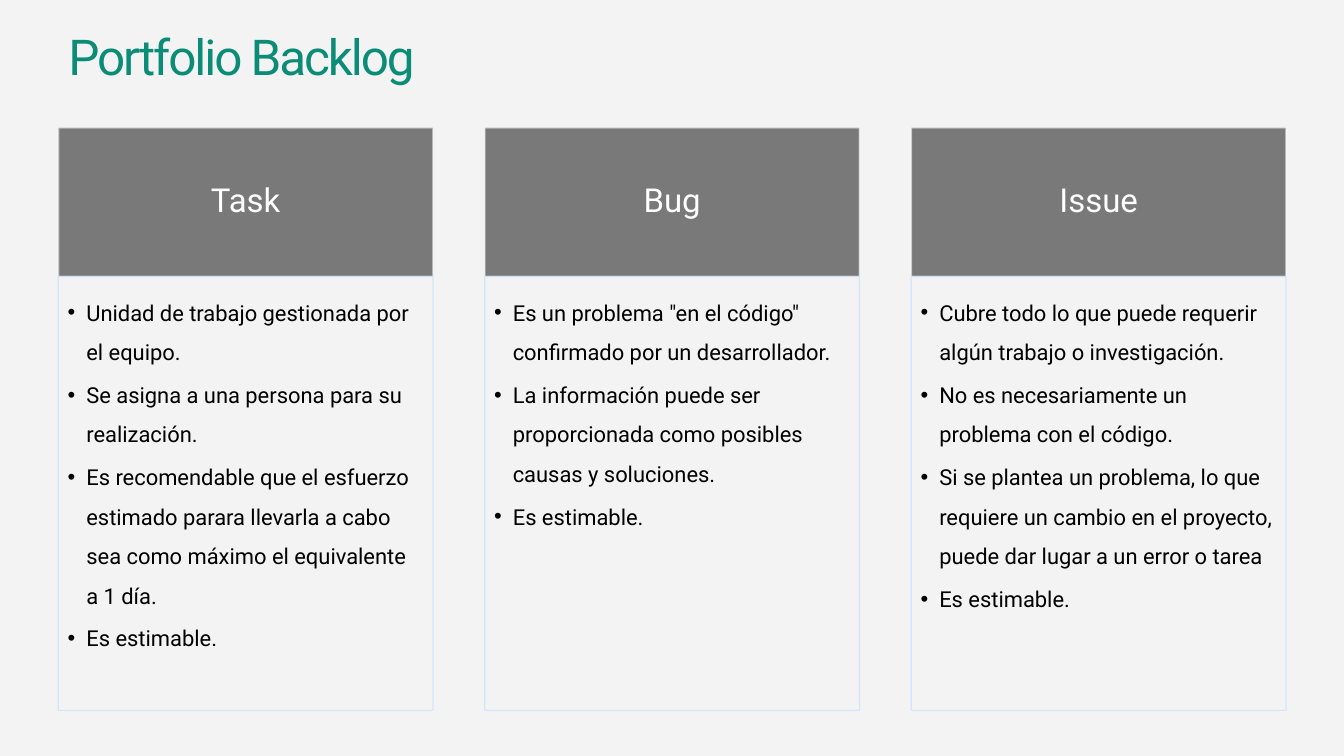
from lxml.etree import SubElement
from pptx import Presentation
from pptx.dml.color import RGBColor
from pptx.enum.shapes import MSO_SHAPE
from pptx.enum.text import MSO_ANCHOR, MSO_AUTO_SIZE, PP_ALIGN
from pptx.oxml.ns import qn
from pptx.util import Cm, Pt

BACKGROUND = RGBColor(0xF3, 0xF3, 0xF3)
GREEN = RGBColor(0x0A, 0x8C, 0x76)
GRAY = RGBColor(0x79, 0x79, 0x79)
HEADER_LINE = RGBColor(0xF9, 0xF9, 0xF9)
BODY_LINE = RGBColor(0xD0, 0xE4, 0xFF)
WHITE = RGBColor(0xFF, 0xFF, 0xFF)
BLACK = RGBColor(0x00, 0x00, 0x00)

COLUMNS = {
    "Task": [
        "Unidad de trabajo gestionada por el equipo.",
        "Se asigna a una persona para su realización.",
        "Es recomendable que el esfuerzo estimado parara llevarla a cabo "
        "sea como máximo el equivalente a 1 día.",
        "Es estimable.",
    ],
    "Bug": [
        'Es un problema "en el código" confirmado por un desarrollador.',
        "La información puede ser proporcionada como posibles causas y soluciones.",
        "Es estimable.",
    ],
    "Issue": [
        "Cubre todo lo que puede requerir algún trabajo o investigación.",
        "No es necesariamente un problema con el código.",
        "Si se plantea un problema, lo que requiere un cambio en el proyecto, "
        "puede dar lugar a un error o tarea",
        "Es estimable.",
    ],
}
LEFT, PITCH, WIDTH = 1.5, 10.96, 9.63
HEADER_TOP, HEADER_HEIGHT, BODY_HEIGHT = 3.28, 3.83, 11.15

HEADER_FRAME = {
    "word_wrap": True, "vertical_anchor": MSO_ANCHOR.MIDDLE,
    "margin_left": Cm(0.48), "margin_top": Cm(0.28),
    "margin_right": Cm(0.48), "margin_bottom": Cm(0.28),
}
BODY_FRAME = {
    "word_wrap": True, "vertical_anchor": MSO_ANCHOR.TOP,
    "margin_left": Cm(0.24), "margin_top": Cm(0.24),
    "margin_right": Cm(0.32), "margin_bottom": Cm(0.36),
}
TITLE_FRAME = {
    "word_wrap": True, "vertical_anchor": MSO_ANCHOR.MIDDLE,
    "auto_size": MSO_AUTO_SIZE.NONE,
}
TITLE_PARAGRAPH = {"alignment": PP_ALIGN.LEFT, "line_spacing": 0.9}
HEADER_PARAGRAPH = {"alignment": PP_ALIGN.CENTER, "line_spacing": 0.9}
BODY_PARAGRAPH = {
    "alignment": PP_ALIGN.LEFT, "line_spacing": 1.5, "space_after": Pt(2.4),
}


def write_text(shape, texts, frame_format, paragraph_format, size, color, bullet=False):
    frame = shape.text_frame
    for name, value in frame_format.items():
        setattr(frame, name, value)
    frame.text = "\n".join(texts)
    for paragraph in frame.paragraphs:
        if bullet:
            properties = paragraph._p.get_or_add_pPr()
            properties.set("marL", str(Cm(0.48)))
            properties.set("indent", str(Cm(-0.48)))
            SubElement(properties, qn("a:buFont"), typeface="Arial")
            SubElement(properties, qn("a:buChar"), char="•")
        for name, value in paragraph_format.items():
            setattr(paragraph, name, value)
        font = paragraph.runs[0].font
        font.name, font.size = "Roboto", Pt(size)
        font.color.rgb = color


def add_box(left, top, height, line_color, line_width, opacity):
    box = slide.shapes.add_shape(
        MSO_SHAPE.RECTANGLE, Cm(left), Cm(top), Cm(WIDTH), Cm(height))
    box.shadow.inherit = False
    box.line.color.rgb = line_color
    box.line.width = Pt(line_width)
    color = box.line._ln.find(".//" + qn("a:srgbClr"))
    SubElement(color, qn("a:alpha"), val=str(opacity * 1000))
    return box


presentation = Presentation()
presentation.slide_width = Cm(34.54)
presentation.slide_height = Cm(19.43)
slide = presentation.slides.add_slide(presentation.slide_layouts[5])
slide.background.fill.solid()
slide.background.fill.fore_color.rgb = BACKGROUND

title = slide.shapes.title
title.left, title.top = Cm(LEFT), Cm(0.74)
title.width, title.height = Cm(30.86), Cm(1.57)
write_text(title, ["Portfolio Backlog"], TITLE_FRAME, TITLE_PARAGRAPH, 36, GREEN)
title.text_frame.paragraphs[0].runs[0].font._element.set("spc", "-150")

for index, (heading, points) in enumerate(COLUMNS.items()):
    left = LEFT + index * PITCH
    header = add_box(left, HEADER_TOP, HEADER_HEIGHT, HEADER_LINE, 1.35, 50)
    header.fill.solid()
    header.fill.fore_color.rgb = GRAY
    write_text(header, [heading], HEADER_FRAME, HEADER_PARAGRAPH, 24, WHITE)

    body = add_box(left, HEADER_TOP + HEADER_HEIGHT, BODY_HEIGHT, BODY_LINE, 0.85, 90)
    body.fill.background()
    write_text(body, points, BODY_FRAME, BODY_PARAGRAPH, 16, BLACK, bullet=True)

presentation.save("out.pptx")
